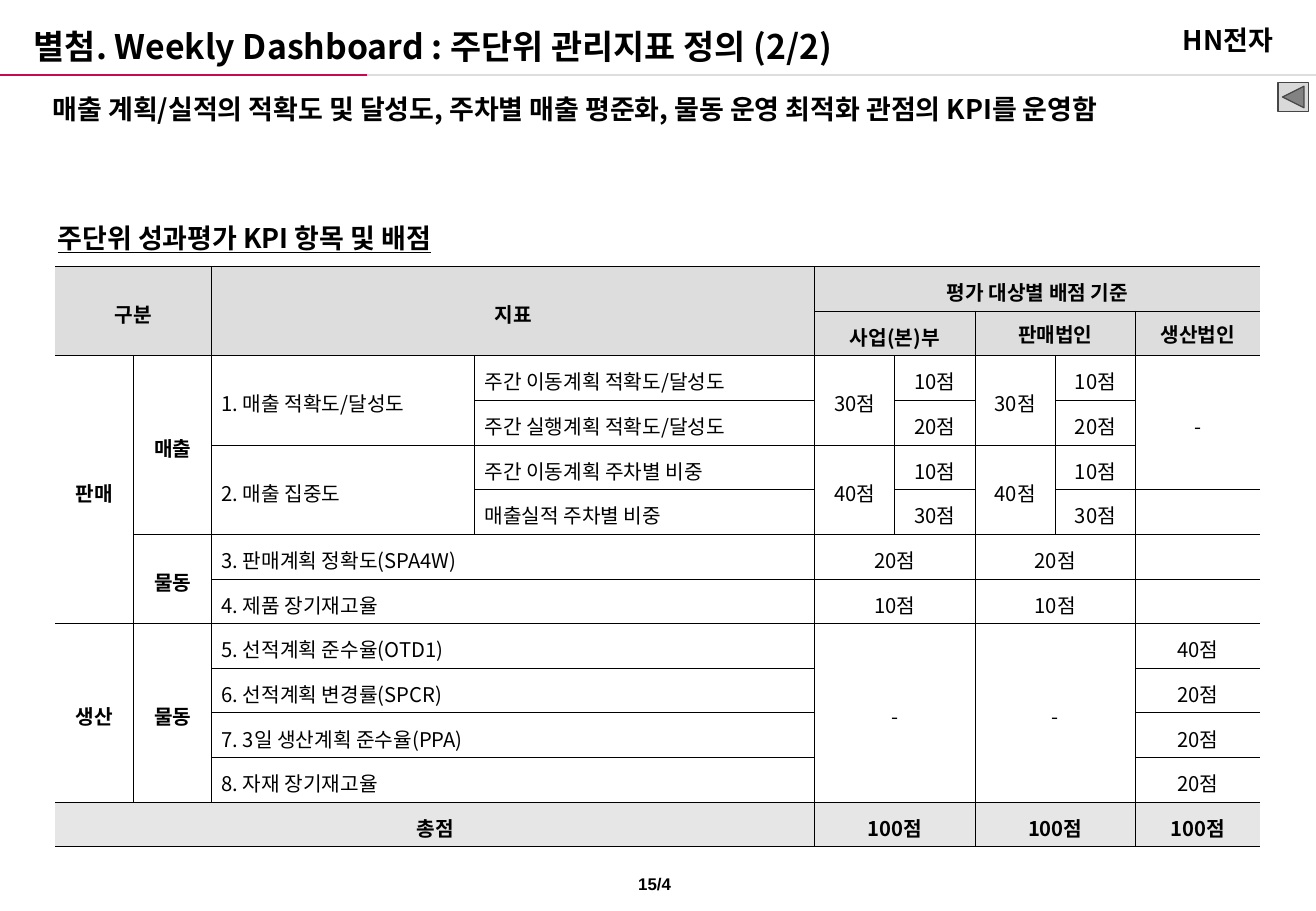
from dataclasses import dataclass

from lxml.etree import SubElement
from pptx import Presentation
from pptx.dml.color import RGBColor
from pptx.enum.shapes import MSO_CONNECTOR, MSO_SHAPE
from pptx.enum.text import MSO_ANCHOR, PP_ALIGN
from pptx.oxml.ns import qn
from pptx.util import Pt


@dataclass(frozen=True)
class Theme:
    font: str = "Noto Sans CJK KR"
    number_font: str = "Arial"
    black: str = "000000"
    accent: str = "C70952"
    rule: str = "DDDDDD"
    header: str = "DDDDDD"
    total: str = "E6E6E6"
    button: str = "D9D9D9"
    button_line: str = "464646"
    title: int = 20
    heading: int = 16
    cell: int = 12
    number: int = 10


T = Theme()
LEFT, CENTER, RIGHT = PP_ALIGN.LEFT, PP_ALIGN.CENTER, PP_ALIGN.RIGHT

# KPI table: columns, rows and cells as (row, column, row span, column span, text)
COLUMNS = [46.4, 46.4, 155.9, 201.5, 47.5, 47.5, 47.6, 47.6, 74]
ROWS, ROW_HEIGHT = 13, 26.5
LAST_COL = len(COLUMNS) - 1
UNIT_COLS = (4, 6)  # 사업(본)부, 판매법인

HEADERS = [
    (0, 0, 2, 2, "구분"), (0, 2, 2, 2, "지표"),
    (0, 4, 1, 5, "평가 대상별 배점 기준"), (1, 4, 1, 2, "사업(본)부"),
]
PLAIN_HEADERS = [(1, 6, 1, 2, "판매법인"), (1, 8, 1, 1, "생산법인")]
GROUPS = [
    (2, 0, 6, 1, "판매"), (2, 1, 4, 1, "매출"), (6, 1, 2, 1, "물동"),
    (8, 0, 4, 1, "생산"), (8, 1, 4, 1, "물동"),
]
INDICATORS = [
    (2, 2, 2, 1, "1. 매출 적확도/달성도"), (4, 2, 2, 1, "2. 매출 집중도"),
    (2, 3, 1, 1, "주간 이동계획 적확도/달성도"),
    (3, 3, 1, 1, "주간 실행계획 적확도/달성도"),
    (4, 3, 1, 1, "주간 이동계획 주차별 비중"),
    (5, 3, 1, 1, "매출실적 주차별 비중"),
    (6, 2, 1, 2, "3. 판매계획 정확도(SPA4W)"), (7, 2, 1, 2, "4. 제품 장기재고율"),
    (8, 2, 1, 2, "5. 선적계획 준수율(OTD1)"), (9, 2, 1, 2, "6. 선적계획 변경률(SPCR)"),
    (10, 2, 1, 2, "7. 3일 생산계획 준수율(PPA)"), (11, 2, 1, 2, "8. 자재 장기재고율"),
]
UNIT_SCORES = [  # column counted from the unit's first column
    (2, 0, 2, 1, "30점"), (2, 1, 1, 1, "10점"), (3, 1, 1, 1, "20점"),
    (4, 0, 2, 1, "40점"), (4, 1, 1, 1, "10점"), (5, 1, 1, 1, "30점"),
    (6, 0, 1, 2, "20점"), (7, 0, 1, 2, "10점"), (8, 0, 4, 2, "-"),
]
PLANT_SCORES = [(2, 8, 3, 1, "-")] + [
    (8 + i, 8, 1, 1, score) for i, score in enumerate(["40점", "20점", "20점", "20점"])
] + [(row, 8, 1, 1, "") for row in (5, 6, 7)]
TOTALS = [(12, 0, 1, 4, "총점"), (12, 4, 1, 2, "100점"),
          (12, 6, 1, 2, "100점"), (12, 8, 1, 1, "100점")]


def rgb(color):
    return RGBColor.from_string(color)


def write(tf, text, *, size, font=T.font, bold=True, underline=False, align=LEFT,
          spacing=None, before=None):
    p = tf.paragraphs[0]
    p.alignment = align
    if spacing:
        p.line_spacing = spacing
    if before:
        p.space_before = Pt(before)
    if not text:
        SubElement(p._p, qn("a:endParaRPr"), sz=str(size * 100))
        return
    r = p.add_run()
    r.text = text
    f = r.font
    f.name, f.size, f.bold, f.underline = font, Pt(size), bold, underline
    f.color.rgb = rgb(T.black)
    SubElement(r._r.get_or_add_rPr(), qn("a:ea"), typeface=font)


def add_text(s, x, y, w, h, text, *, anchor=MSO_ANCHOR.TOP, **fmt):
    tf = s.shapes.add_textbox(Pt(x), Pt(y), Pt(w), Pt(h)).text_frame
    tf.word_wrap = True
    tf.vertical_anchor = anchor
    tf.margin_top = tf.margin_bottom = 0
    write(tf, text, **fmt)


def add_rule(s, x1, x2, y, color):
    line = s.shapes.add_connector(MSO_CONNECTOR.STRAIGHT, Pt(x1), Pt(y), Pt(x2), Pt(y))
    line.line.color.rgb = rgb(color)
    line.line.width = Pt(1.5)
    SubElement(line._element.spPr, qn("a:effectLst"))


def add_back_button(s, x, y, w, h):
    sp = s.shapes.add_shape(MSO_SHAPE.ACTION_BUTTON_BACK_OR_PREVIOUS,
                            Pt(x), Pt(y), Pt(w), Pt(h))
    sp.shadow.inherit = False
    sp.fill.solid()
    sp.fill.fore_color.rgb = rgb(T.button)
    sp.line.color.rgb = rgb(T.button_line)
    sp.line.width = Pt(0.75)


def set_borders(cell, sides):
    tc_pr = cell._tc.get_or_add_tcPr()
    for i, side in enumerate("LRTB"):
        ln = SubElement(tc_pr, qn(f"a:ln{side}"), w=str(Pt(0.5)))
        if side in sides:
            fill = SubElement(ln, qn("a:solidFill"))
            SubElement(fill, qn("a:srgbClr"), val=T.black)
        else:
            SubElement(ln, qn("a:noFill"))


def fill_cell(table, row, col, rows, cols, text, fill=None, spacing=1.2, before=1.2, **fmt):
    # The table is open at its left and right edges
    sides = "TB" + ("L" if col > 0 else "") + ("R" if col + cols <= LAST_COL else "")
    origin = table.cell(row, col)
    if rows * cols > 1:
        origin.merge(table.cell(row + rows - 1, col + cols - 1))
    for r in range(row, row + rows):
        for c in range(col, col + cols):
            cell = table.cell(r, c)
            set_borders(cell, sides)
            if fill:
                cell.fill.solid()
                cell.fill.fore_color.rgb = rgb(fill)
            else:
                cell.fill.background()
            cell.vertical_anchor = MSO_ANCHOR.MIDDLE
            cell.margin_left = cell.margin_right = Pt(5.76)
            cell.margin_top = cell.margin_bottom = Pt(2.88)
            write(cell.text_frame, text if cell is origin or (r, c) == (row, col) else "",
                  size=T.cell, spacing=spacing, before=before, **fmt)


def add_kpi_table(s, x, y):
    table = s.shapes.add_table(ROWS, len(COLUMNS), Pt(x), Pt(y),
                               Pt(sum(COLUMNS)), Pt(ROWS * ROW_HEIGHT)).table
    table.first_row = table.horz_banding = False
    for column, width in zip(table.columns, COLUMNS):
        column.width = Pt(width)
    for row in table.rows:
        row.height = Pt(ROW_HEIGHT)

    scores = PLANT_SCORES + [(row, unit + col, rows, cols, text) for unit in UNIT_COLS
                             for row, col, rows, cols, text in UNIT_SCORES]
    styles = [
        (HEADERS, dict(fill=T.header, align=CENTER)),
        (PLAIN_HEADERS, dict(fill=T.header, align=CENTER, spacing=None, before=None)),
        (GROUPS, dict(align=CENTER)),
        (INDICATORS, dict(bold=False)),
        (scores, dict(bold=False, align=CENTER)),
        (TOTALS, dict(fill=T.total, align=CENTER)),
    ]
    for cells, style in styles:
        for cell in cells:
            fill_cell(table, *cell, **style)


def main():
    prs = Presentation()
    prs.slide_width, prs.slide_height = Pt(780), Pt(540)
    s = prs.slides.add_slide(prs.slide_layouts[6])

    # Header
    add_rule(s, 0, 217.5, 44.6, T.accent)
    add_rule(s, 217.5, 780, 44.6, T.rule)
    add_text(s, 13, 10, 606, 34, "별첨. Weekly Dashboard : 주단위 관리지표 정의 (2/2)",
             size=T.title, anchor=MSO_ANCHOR.MIDDLE)
    add_text(s, 547, 10, 214.5, 34, "HN전자", size=T.heading, align=RIGHT, spacing=1.2)
    add_back_button(s, 757.5, 49, 18, 17)

    # Key message
    add_text(s, 24.2, 54.7, 729, 57,
             "매출 계획/실적의 적확도 및 달성도, 주차별 매출 평준화, "
             "물동 운영 최적화 관점의 KPI를 운영함", size=T.heading)

    # KPI table
    add_text(s, 27.2, 131.3, 340, 27, "주단위 성과평가 KPI 항목 및 배점",
             size=T.heading, underline=True)
    add_kpi_table(s, 32.8, 157.8)

    # Page number
    add_text(s, 364.5, 514, 47, 19.5, "15/4", size=T.number, font=T.number_font,
             align=CENTER, anchor=MSO_ANCHOR.MIDDLE)

    prs.save("out.pptx")


if __name__ == "__main__":
    main()
